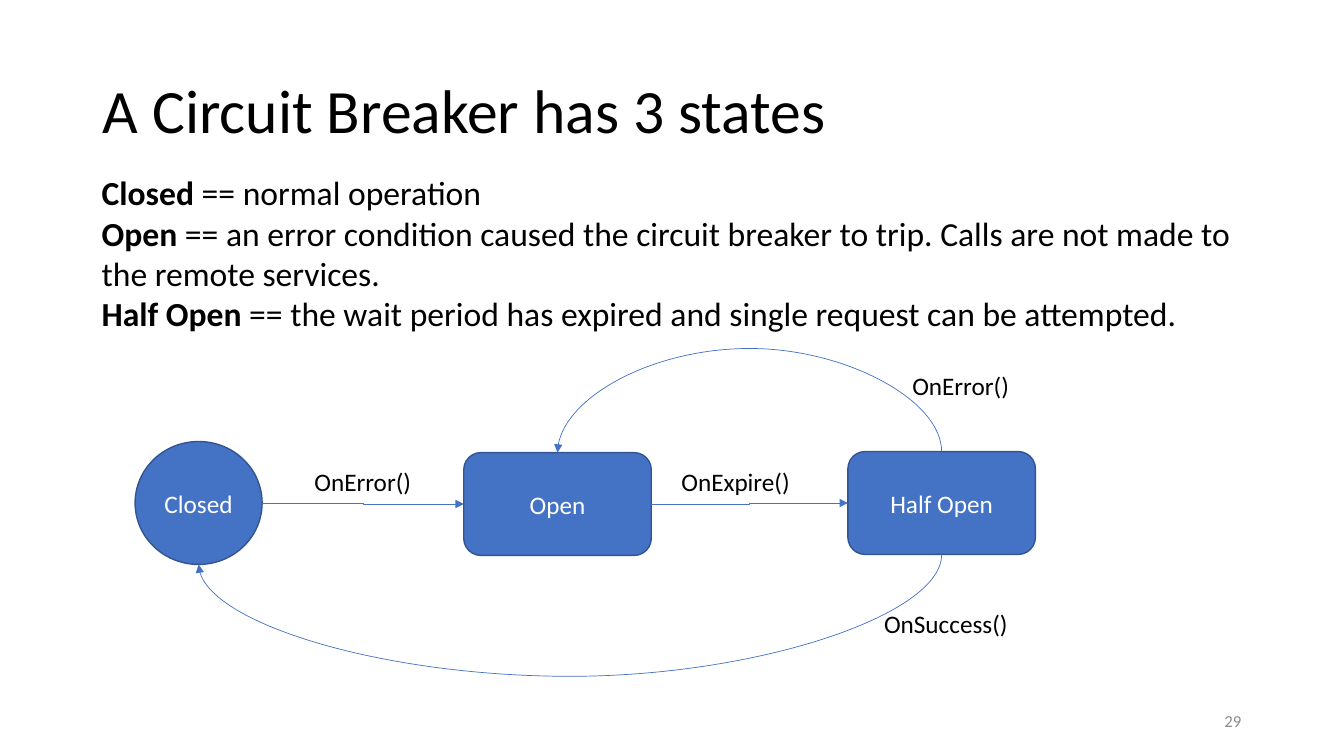
import pptx
import pptx.util
import pptx.dml.color
import pptx.enum.shapes
import pptx.enum.text
import pptx.oxml
import pptx.oxml.ns
import lxml.etree

RGBColor = pptx.dml.color.RGBColor
Shape = pptx.enum.shapes.MSO_SHAPE
Line = pptx.enum.shapes.MSO_CONNECTOR
Align = pptx.enum.text.PP_ALIGN
Anchor = pptx.enum.text.MSO_ANCHOR
Inches = pptx.util.Inches
Pt = pptx.util.Pt
qn = pptx.oxml.ns.qn

BLACK = RGBColor(0x00, 0x00, 0x00)
WHITE = RGBColor(0xFF, 0xFF, 0xFF)
GRAY = RGBColor(0x8C, 0x8C, 0x8C)
BLUE = RGBColor(0x44, 0x72, 0xC4)
OUTLINE = RGBColor(0x32, 0x54, 0x91)
FONT = "Calibri"
WIDTH, HEIGHT = 13.33, 7.5
MARGIN = 0.92
CONTENT_WIDTH = WIDTH - 2 * MARGIN

TITLE = "A Circuit Breaker has 3 states"
PAGE_NUMBER = "29"
DEFINITIONS = [
    ("Closed", " == normal operation"),
    ("Open", " == an error condition caused the circuit breaker to trip. "
             "Calls are not made to the remote services."),
    ("Half Open ", "== the wait period has expired and single request can be attempted."),
]
TOP, LEFT, BOTTOM, RIGHT = range(4)
OVAL_SITES = (0, 2, 4, 6)
BOX_SITES = (TOP, LEFT, BOTTOM, RIGHT)
STATES = {
    "Closed": (Shape.OVAL, 1.97, 4.99, 1.26, 1.22, OVAL_SITES),
    "Open": (Shape.ROUNDED_RECTANGLE, 5.53, 5.0, 1.86, 1.02, BOX_SITES),
    "Half Open": (Shape.ROUNDED_RECTANGLE, 9.34, 4.99, 1.86, 1.02, BOX_SITES),
}
STEPS = [("Closed", "Open"), ("Open", "Half Open")]
RETURNS = [("Half Open", "Open", TOP, -1.04), ("Half Open", "Closed", BOTTOM, 1.21)]
LABELS = [
    ("OnError()", 3.02, 4.58, 1.17),
    ("OnExpire()", 6.66, 4.58, 1.29),
    ("OnError()", 8.95, 3.62, 1.17),
    ("OnSuccess()", 8.67, 5.99, 1.44),
]


def style(span, size, color, bold=False):
    span.font.name = FONT
    span.font.size = Pt(size)
    span.font.color.rgb = color
    span.font.bold = bold


def write(shape, text, size, color, align=Align.LEFT, anchor=Anchor.MIDDLE):
    frame = shape.text_frame
    frame.text = text
    frame.vertical_anchor = anchor
    para = frame.paragraphs[0]
    para.alignment = align
    style(para.runs[0], size, color)
    return para


def add_box(page, left, top, width, height, wrap=True):
    box = page.shapes.add_textbox(*map(Inches, (left, top, width, height)))
    box.text_frame.word_wrap = wrap
    return box


def add_state(page, name):
    kind, center_x, center_y, width, height, sites = STATES[name]
    state = page.shapes.add_shape(
        kind, Inches(center_x - width / 2), Inches(center_y - height / 2),
        Inches(width), Inches(height))
    state.shadow.inherit = False
    state.fill.solid()
    state.fill.fore_color.rgb = BLUE
    state.line.color.rgb = OUTLINE
    state.line.width = Pt(1)
    write(state, name, 18, WHITE, Align.CENTER)
    return state


def add_arrow(page, states, kind, source, target, leave, enter):
    arrow = page.shapes.add_connector(kind, 0, 0, 0, 0)
    arrow.begin_connect(states[source], leave)
    arrow.end_connect(states[target], enter)
    for tag, name, side in (("a:stCxn", source, leave), ("a:endCxn", target, enter)):
        glue = next(arrow._element.iter(qn(tag)))
        glue.set("idx", str(STATES[name][-1][side]))
    arrow.line.color.rgb = BLUE
    arrow.line.width = Pt(0.5)
    outline = arrow._element.spPr.find(qn("a:ln"))
    lxml.etree.SubElement(outline, qn("a:tailEnd")).set("type", "triangle")
    lxml.etree.SubElement(arrow._element.spPr, qn("a:effectLst"))
    return arrow


def bend(arrow, side, depth):
    across = abs(arrow.end_x - arrow.begin_x)
    down = abs(arrow.end_y - arrow.begin_y)
    center_x = (arrow.begin_x + arrow.end_x) // 2
    center_y = (arrow.begin_y + arrow.end_y) // 2
    arrow.left, arrow.top = center_x - down // 2, center_y - across // 2
    arrow.width, arrow.height = down, across
    frame = arrow._element.spPr.find(qn("a:xfrm"))
    flip = "1" if side == TOP else "0"
    frame.set("rot", str((270 if side == TOP else 90) * 60000))
    frame.set("flipH", flip)
    frame.set("flipV", flip)
    guides = next(arrow._element.iter(qn("a:avLst")))
    guide = lxml.etree.SubElement(guides, qn("a:gd"))
    guide.set("name", "adj1")
    guide.set("fmla", f"val {round(Inches(depth) / down * 100000)}")


def main():
    deck = pptx.Presentation()
    deck.slide_width, deck.slide_height = Inches(WIDTH), Inches(HEIGHT)
    page = deck.slides.add_slide(deck.slide_layouts[5])

    title = page.shapes.title
    title.left, title.top = Inches(MARGIN), Inches(0.4)
    title.width, title.height = Inches(CONTENT_WIDTH), Inches(1.45)
    write(title, TITLE, 44, BLACK).line_spacing = 0.9

    number = add_box(page, WIDTH - MARGIN - 3, 6.95, 3, 0.4)
    write(number, PAGE_NUMBER, 12, GRAY, Align.RIGHT)

    states = {name: add_state(page, name) for name in STATES}
    for source, target in STEPS:
        add_arrow(page, states, Line.ELBOW, source, target, RIGHT, LEFT)
    for source, target, side, depth in RETURNS:
        bend(add_arrow(page, states, Line.CURVE, source, target, side, side), side, depth)

    definitions = add_box(page, MARGIN - 0.01, 1.66, CONTENT_WIDTH, 2.12).text_frame
    for index, (term, meaning) in enumerate(DEFINITIONS):
        para = definitions.add_paragraph() if index else definitions.paragraphs[0]
        for text, bold in ((term, True), (meaning, False)):
            span = para.add_run()
            span.text = text
            style(span, 24, BLACK, bold)

    for text, left, top, width in LABELS:
        write(add_box(page, left, top, width, 0.4, False), text, 18, BLACK, anchor=Anchor.TOP)

    deck.save("out.pptx")


if __name__ == "__main__":
    main()
